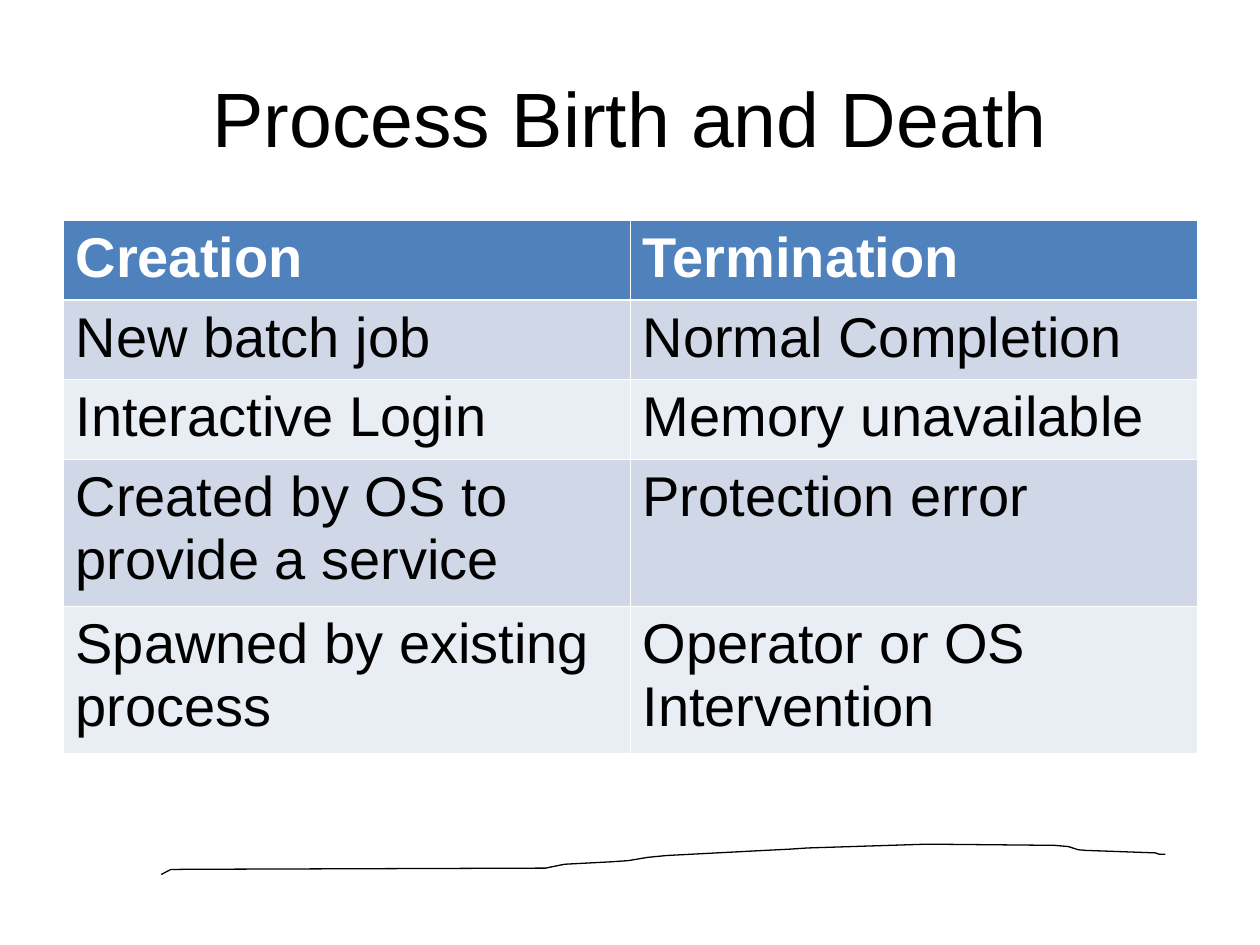
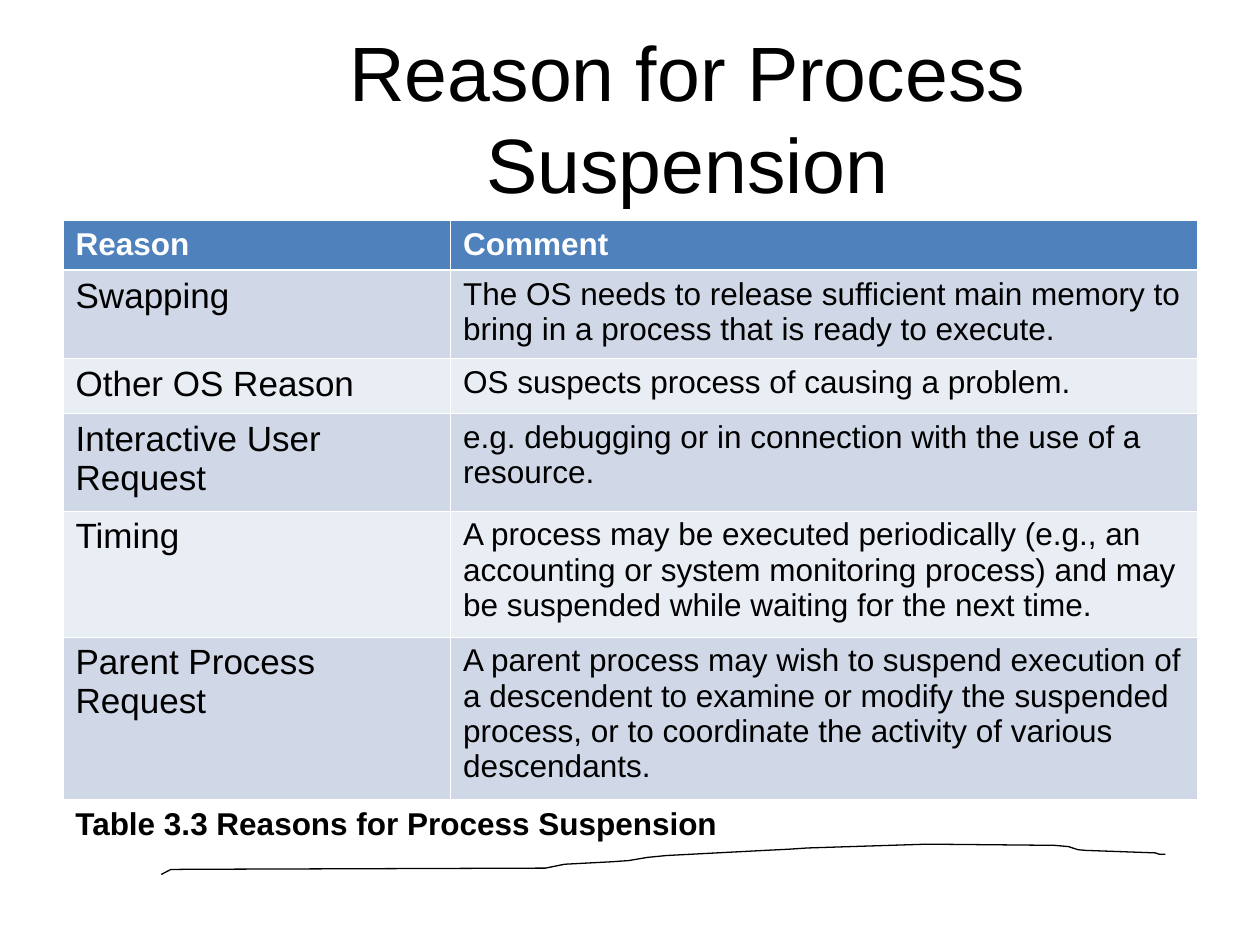
from dataclasses import dataclass

from lxml.etree import SubElement
from pptx import Presentation
from pptx.dml.color import RGBColor
from pptx.enum.text import MSO_ANCHOR, MSO_AUTO_SIZE, PP_ALIGN
from pptx.oxml.ns import qn
from pptx.util import Pt


@dataclass(frozen=True)
class Theme:
    font: str = "Arial"
    black: str = "000000"
    white: str = "FFFFFF"
    header: str = "4F81BD"
    dark_band: str = "D0D8E8"
    light_band: str = "E9EDF4"
    title_size: int = 44
    large_size: int = 32
    reason_size: int = 20
    small_size: int = 18
    thin_border: float = 0.45
    thick_border: float = 1.47


theme = Theme()


def add_run(paragraph, text, size, color=theme.black, bold=False):
    run = paragraph.add_run()
    run.text = text
    run.font.name = theme.font
    run.font.size = Pt(size)
    run.font.bold = bold
    run.font.color.rgb = RGBColor.from_string(color)


def add_border(cell, side, width):
    properties = cell._tc.get_or_add_tcPr()
    line = SubElement(properties, qn(f"a:ln{side}"), w=str(Pt(width)))
    fill = SubElement(line, qn("a:solidFill"))
    SubElement(fill, qn("a:srgbClr"), val=theme.white)


wave_points = [
    (92.2, 499.7), (97.6, 496.9), (107.3, 496.8), (311.8, 496.1),
    (322.6, 493.9), (349.2, 492.5), (359.3, 491.8), (370, 490),
    (380.9, 488.9), (394.6, 488.2), (437, 486), (450.7, 485.3),
    (461.5, 484.6), (529.9, 482.4), (602.6, 483.1), (610.6, 483.8),
    (616, 485.6), (620.6, 486), (660.2, 487.4), (662.5, 488.2), (666, 488.2),
]

pages = [
    {
        "title": "Process Birth and Death",
        "title_left": 36,
        "columns": [324, 324],
        "row_heights": [45.5, 45.5, 45.5, 84, 84],
        "header_size": theme.large_size,
        "body_sizes": [theme.large_size, theme.large_size],
        "rows": [
            ("Creation", "Termination"),
            ("New batch job", "Normal Completion"),
            ("Interactive Login", "Memory unavailable"),
            ("Created by OS to provide a service", "Protection error"),
            ("Spawned by existing process", "Operator or OS Intervention"),
        ],
        "caption": None,
    },
    {
        "title": "Reason for Process Suspension",
        "title_left": 102,
        "columns": [221.5, 426.5],
        "row_heights": [28.5, 50.5, 31.5, 55.5, 72, 93],
        "header_size": theme.small_size,
        "body_sizes": [theme.reason_size, theme.small_size],
        "rows": [
            ("Reason", "Comment"),
            ("Swapping", "The OS needs to release sufficient main memory to "
             "bring in a process that is ready to execute."),
            ("Other OS Reason", "OS suspects process of causing a problem."),
            ("Interactive User Request", "e.g. debugging or in connection "
             "with the use of a resource."),
            ("Timing", "A process may be executed periodically (e.g., an "
             "accounting or system monitoring process) and may be suspended "
             "while waiting for the next time."),
            ("Parent Process Request", "A parent process may wish to suspend "
             "execution of a descendent to examine or modify the suspended "
             "process, or to coordinate the activity of various descendants."),
        ],
        "caption": "Table 3.3 Reasons for Process Suspension",
    },
]

presentation = Presentation()
presentation.slide_width = Pt(720)
presentation.slide_height = Pt(540)
title_only = presentation.slide_layouts[5]

for page in pages:
    slide = presentation.slides.add_slide(title_only)

    points = [(Pt(x), Pt(y)) for x, y in wave_points]
    builder = slide.shapes.build_freeform(*points[0])
    builder.add_line_segments(points[1:], close=False)
    wave = builder.convert_to_shape()
    wave.shadow.inherit = False
    wave.fill.background()
    wave.line.color.rgb = RGBColor.from_string(theme.black)
    wave.line.width = Pt(0.75)

    title = slide.shapes.title
    title.left, title.top = Pt(page["title_left"]), Pt(21.6)
    title.width, title.height = Pt(684 - page["title_left"]), Pt(90)
    title_frame = title.text_frame
    title_frame.auto_size = MSO_AUTO_SIZE.NONE
    title_frame.word_wrap = True
    title_frame.vertical_anchor = MSO_ANCHOR.MIDDLE
    title_frame.paragraphs[0].alignment = PP_ALIGN.CENTER
    add_run(title_frame.paragraphs[0], page["title"], theme.title_size)

    table = slide.shapes.add_table(
        len(page["rows"]), len(page["columns"]), Pt(36), Pt(126),
        Pt(sum(page["columns"])), Pt(sum(page["row_heights"])),
    ).table
    for column, width in zip(table.columns, page["columns"]):
        column.width = Pt(width)
    for row, height in zip(table.rows, page["row_heights"]):
        row.height = Pt(height)

    for row_index, texts in enumerate(page["rows"]):
        is_header = row_index == 0
        band = theme.dark_band if row_index % 2 else theme.light_band
        top = theme.thick_border if row_index == 1 else theme.thin_border
        bottom = theme.thick_border if is_header else theme.thin_border
        for column_index, text in enumerate(texts):
            cell = table.cell(row_index, column_index)
            for side, width in (("L", theme.thin_border), ("R", theme.thin_border),
                                ("T", top), ("B", bottom)):
                add_border(cell, side, width)
            cell.fill.solid()
            cell.fill.fore_color.rgb = RGBColor.from_string(
                theme.header if is_header else band)
            size = page["header_size"] if is_header else page["body_sizes"][column_index]
            color = theme.white if is_header else theme.black
            add_run(cell.text_frame.paragraphs[0], text, size, color, is_header)

    if page["caption"]:
        caption = slide.shapes.add_textbox(Pt(36), Pt(456), Pt(630), Pt(29))
        caption.text_frame.word_wrap = True
        add_run(caption.text_frame.paragraphs[0], page["caption"],
                theme.small_size, bold=True)

presentation.save("out.pptx")
